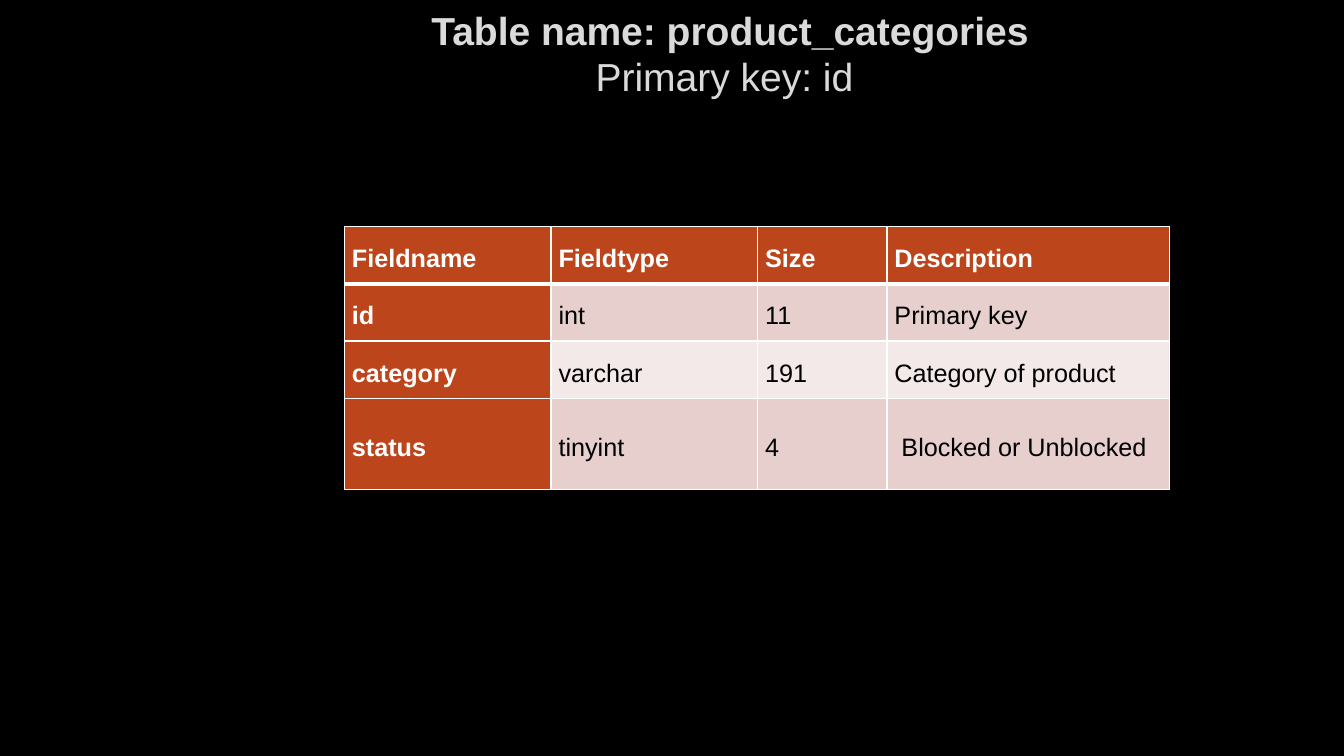
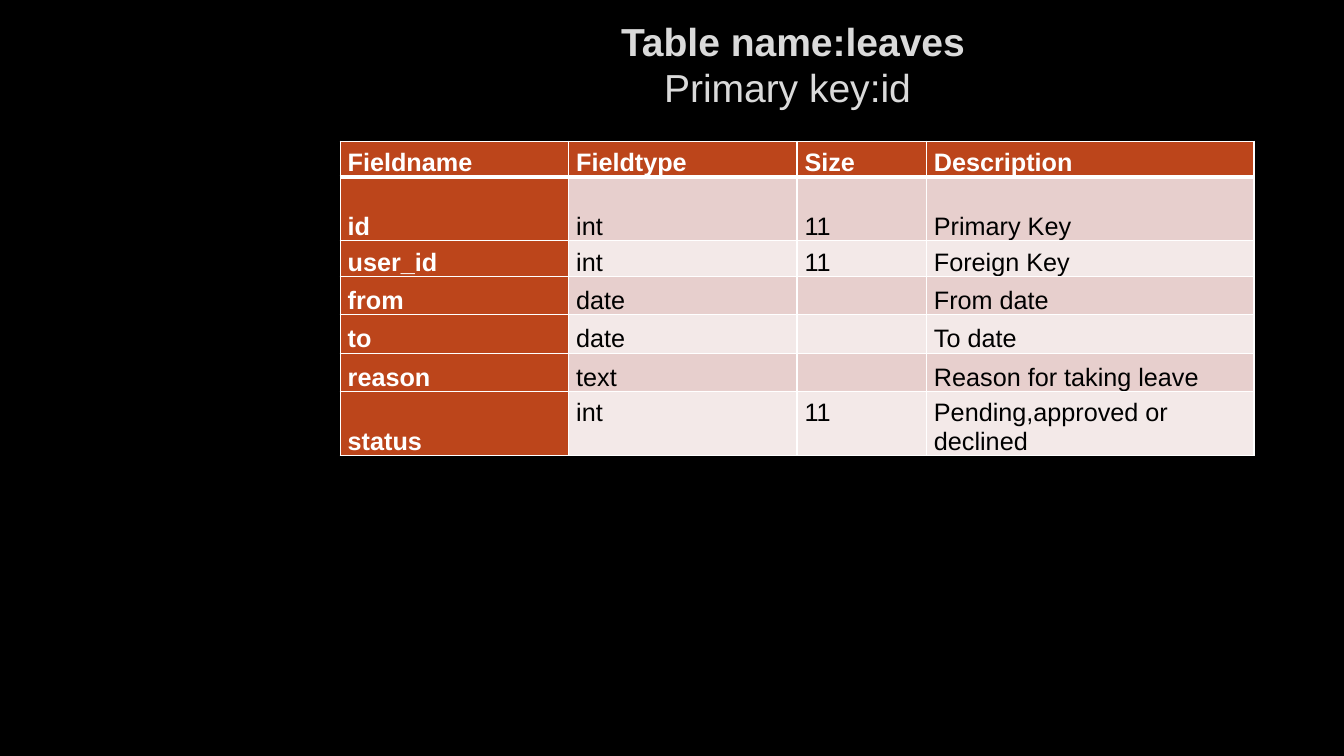
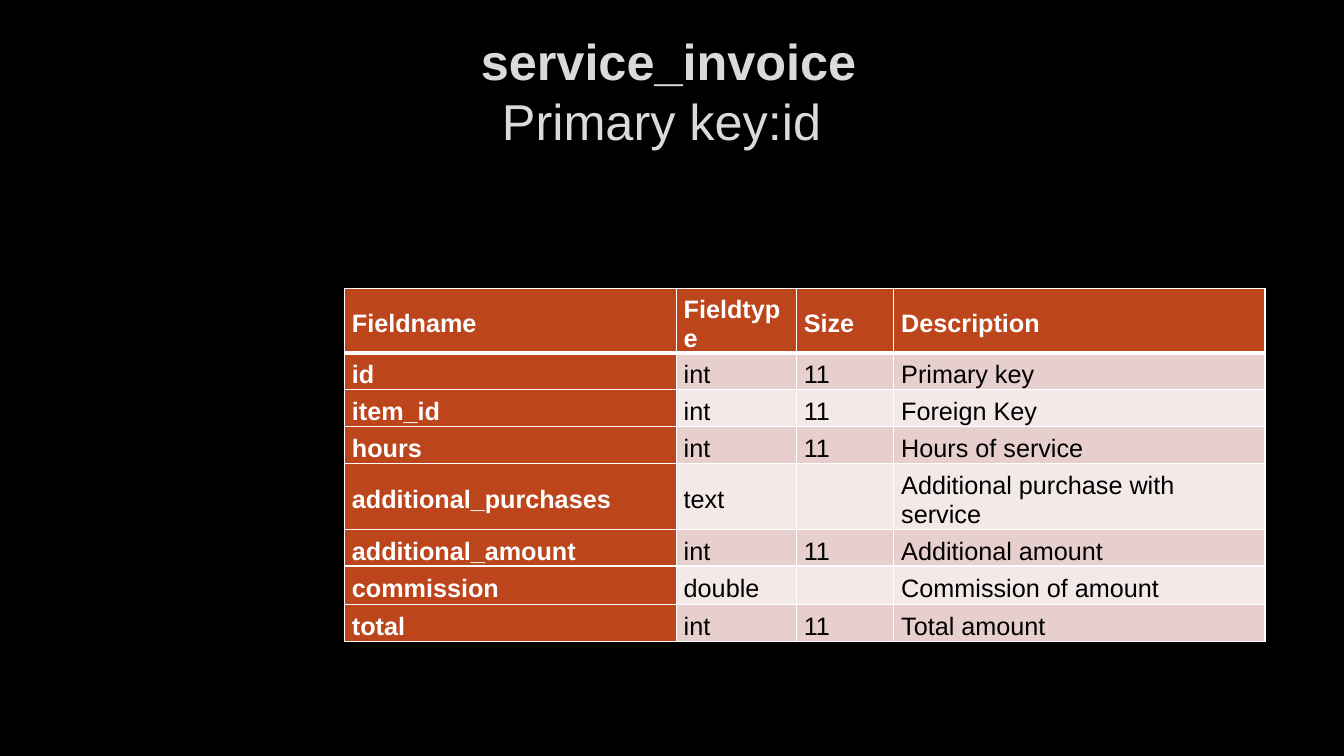
import pptx
import pptx.dml.color
import pptx.enum.text
import pptx.oxml
import pptx.oxml.ns
import pptx.util

HUES = {
    "back": "000000",
    "title": "DADADA",
    "head": "BC451B",
    "odd": "E7CFCD",
    "even": "F3E9E8",
    "light": "FFFFFF",
    "dark": "000000",
}
FONT = "Arial"
COLS, ROWS = 160, 90
HEADS = ("Fieldname", "Fieldtype", "Size", "Description")
ANCHOR = pptx.enum.text.MSO_ANCHOR


def rgb(name):
    return pptx.dml.color.RGBColor.from_string(HUES[name])


def put(item, **form):
    """Set each given format value on the item."""
    for key, value in form.items():
        setattr(item, key, value)


class Deck:
    """Holds the shared style and the current slide."""

    def __init__(self):
        self.prs = pptx.Presentation()
        put(self.prs, slide_width=pptx.util.Inches(13.33),
            slide_height=pptx.util.Inches(7.5))
        fill = self.prs.slide_master.background.fill
        fill.solid()
        fill.fore_color.rgb = rgb("back")
        self.slide = None

    def across(self, count):
        return round(self.prs.slide_width * count / COLS)

    def down(self, count):
        return round(self.prs.slide_height * count / ROWS)

    def box(self, left, top, width, height):
        return dict(left=self.across(left), top=self.down(top),
                    width=self.across(width), height=self.down(height))

    def add(self):
        self.slide = self.prs.slides.add_slide(self.prs.slide_layouts[5])

    def ink(self, run, size, hue, bold):
        put(run.font, name=FONT, size=pptx.util.Pt(size), bold=bold)
        run.font.color.rgb = rgb(hue)

    def title(self, lines, at, size, shift):
        """Write a bold line and a plain one; shift is the right inset."""
        shape = self.slide.shapes.title
        put(shape, **self.box(*at))
        frame = shape.text_frame
        put(frame, word_wrap=True, vertical_anchor=ANCHOR.MIDDLE,
            auto_size=pptx.enum.text.MSO_AUTO_SIZE.NONE,
            margin_left=0, margin_top=0,
            margin_right=self.across(shift), margin_bottom=self.down(7.2))
        para = frame.paragraphs[0]
        put(para, alignment=pptx.enum.text.PP_ALIGN.CENTER,
            line_spacing=pptx.util.Pt(size * 1.2),
            space_before=pptx.util.Pt(0))
        for num, line in enumerate(lines):
            if num:
                para.add_line_break()
            run = para.add_run()
            run.text = line
            self.ink(run, size, "title", num == 0)

    def edge(self, cell, side, width):
        line = pptx.oxml.parse_xml(
            f'<a:ln{side} {pptx.oxml.ns.nsdecls("a")} '
            f'w="{pptx.util.Pt(width)}"><a:solidFill>'
            f'<a:srgbClr val="{HUES["light"]}"/></a:solidFill></a:ln{side}>')
        cell._tc.get_or_add_tcPr().append(line)

    def cell(self, cell, text, row, col, anchor):
        head = row == 0 or col == 0
        put(cell, vertical_anchor=anchor,
            margin_left=self.across(0.9), margin_right=self.across(0.9),
            margin_top=self.down(0.9), margin_bottom=0)
        for side in "LRTB":
            thick = (row, side) in ((0, "B"), (1, "T"))
            self.edge(cell, side, 3 if thick else 1)
        cell.fill.solid()
        cell.fill.fore_color.rgb = rgb(
            "head" if head else "odd" if row % 2 else "even")
        if text:
            run = cell.text_frame.paragraphs[0].add_run()
            run.text = text
            self.ink(run, 18, "light" if head else "dark", head)

    def table(self, left, top, wide, high, fields, anchor=ANCHOR.MIDDLE,
              raised=()):
        """Draw the fields; raised lists the cells set at the top."""
        data = (HEADS, *fields)
        place = self.box(left, top, sum(wide), sum(high))
        grid = self.slide.shapes.add_table(
            len(data), len(HEADS), **place).table
        for col, width in zip(grid.columns, wide):
            col.width = self.across(width)
        for row, height in zip(grid.rows, high):
            row.height = self.down(height)
        for row, texts in enumerate(data):
            for col, text in enumerate(texts):
                spot = ANCHOR.TOP if (row, col) in raised else anchor
                self.cell(grid.cell(row, col), text, row, col, spot)


def main():
    deck = Deck()

    deck.add()
    deck.title(("Table name: product_categories", "Primary key: id "),
               (20.2, 1.4, 135.8, 17), 27.9, 2.4)
    deck.table(41, 27, (24.6, 24.6, 15.4, 33.6), (6.8, 6.8, 6.8, 10.9), (
        ("id", "int", "11", "Primary key"),
        ("category", "varchar", "191", "Category of product"),
        ("status", "tinyint", "4", " Blocked or Unblocked"),
    ))

    deck.add()
    deck.title(("Table name:leaves", "Primary key:id "),
               (27.1, 3.5, 135.8, 15.4), 27.9, 1.2)
    deck.table(40.5, 16.8, (27.2, 27.2, 15.4, 39),
               (4.2, 7.6, *[4.2] * 4, 7.6), (
        ("id", "int", "11", "Primary Key"),
        ("user_id", "int", "11", "Foreign Key"),
        ("from", "date", "", "From date"),
        ("to", "date", "", "To date"),
        ("reason", "text", "", "Reason for taking leave"),
        ("status", "int", "11", "Pending,approved or declined"),
    ), ANCHOR.BOTTOM, ((6, 1), (6, 2)))

    deck.add()
    deck.title(("service_invoice", "Primary key:id "),
               (12, 8, 135.8, 12.7), 36, 0.6)
    deck.table(41, 34.3, (39.5, 14.3, 11.6, 44.2),
               (7.7, *[4.4] * 3, 7.8, *[4.4] * 3), (
        ("id", "int", "11", "Primary key"),
        ("item_id", "int", "11", "Foreign Key"),
        ("hours", "int", "11", "Hours of service"),
        ("additional_purchases", "text", "",
         "Additional purchase with service"),
        ("additional_amount", "int", "11", "Additional amount"),
        ("commission", "double", "", "Commission of amount"),
        ("total", "int", "11", "Total amount"),
    ))

    deck.prs.save("out.pptx")


if __name__ == "__main__":
    main()
